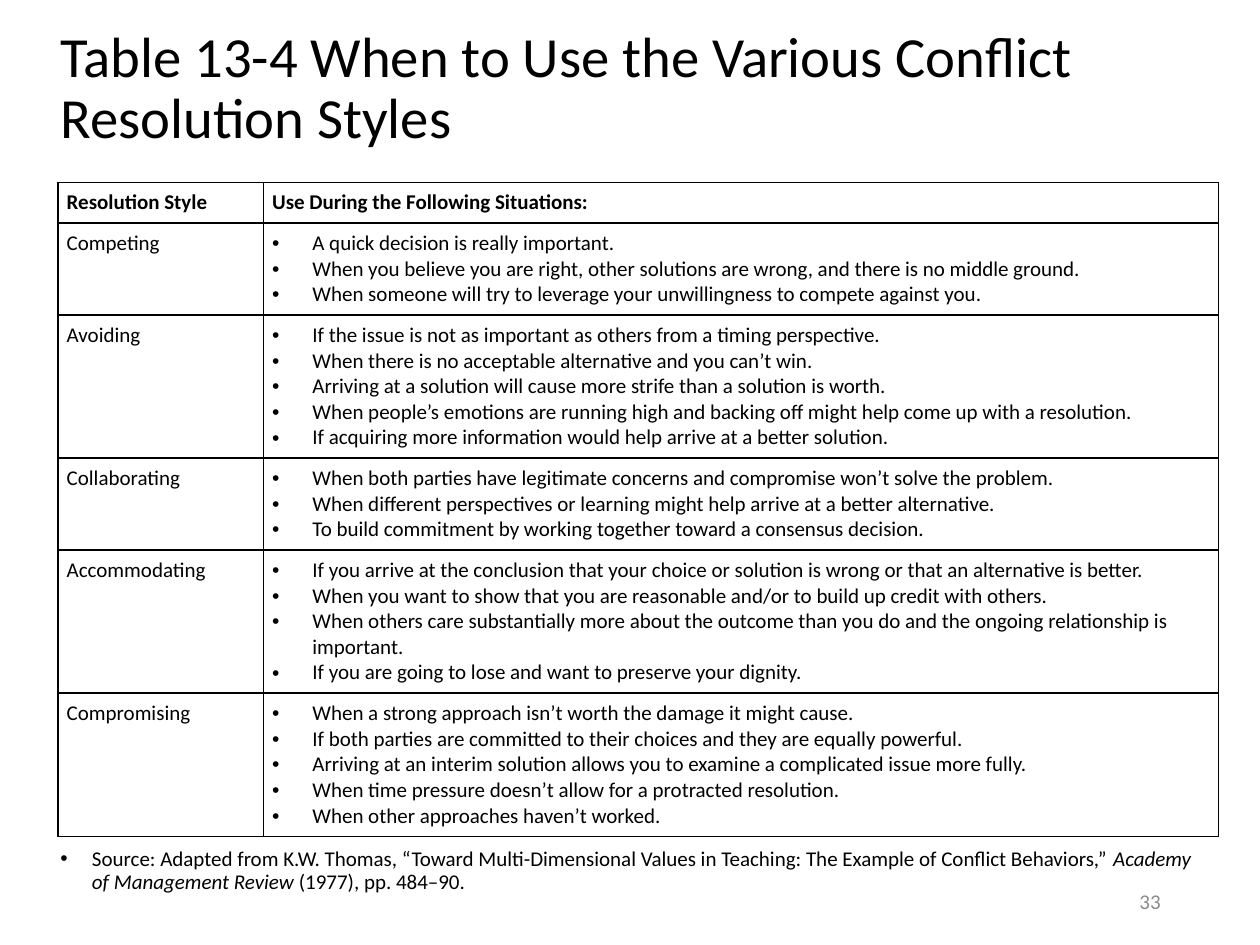
import pptx
import pptx.dml.color
import pptx.enum.text
import pptx.oxml
import pptx.oxml.ns
import pptx.util

RGBColor = pptx.dml.color.RGBColor
Anchor = pptx.enum.text.MSO_ANCHOR
BLACK = RGBColor(0, 0, 0)
WHITE = RGBColor(255, 255, 255)
GRAY = RGBColor(0x8C, 0x8C, 0x8C)
FONT = "Calibri"
SLIDE_WIDTH = pptx.util.Inches(10)
SLIDE_HEIGHT = pptx.util.Inches(7.5)

TITLE = "Table 13-4 When to Use the Various Conflict Resolution Styles"
HEADINGS = ["Resolution Style", "Use During the Following Situations:"]
COLUMN_SHARES = [0.177, 0.823]
ROW_SHARES = [0.063, 0.138, 0.217, 0.138, 0.217, 0.217]
STYLES = {
    "Competing": [
        "A quick decision is really important.",
        "When you believe you are right, other solutions are wrong, and there is no middle ground.",
        "When someone will try to leverage your unwillingness to compete against you.",
    ],
    "Avoiding": [
        "If the issue is not as important as others from a timing perspective.",
        "When there is no acceptable alternative and you can’t win.",
        "Arriving at a solution will cause more strife than a solution is worth.",
        "When people’s emotions are running high and backing off might help come up with a resolution.",
        "If acquiring more information would help arrive at a better solution.",
    ],
    "Collaborating": [
        "When both parties have legitimate concerns and compromise won’t solve the problem.",
        "When different perspectives or learning might help arrive at a better alternative.",
        "To build commitment by working together toward a consensus decision.",
    ],
    "Accommodating": [
        "If you arrive at the conclusion that your choice or solution is wrong or that an alternative is better.",
        "When you want to show that you are reasonable and/or to build up credit with others.",
        "When others care substantially more about the outcome than you do and the ongoing relationship is important.",
        "If you are going to lose and want to preserve your dignity.",
    ],
    "Compromising": [
        "When a strong approach isn’t worth the damage it might cause.",
        "If both parties are committed to their choices and they are equally powerful.",
        "Arriving at an interim solution allows you to examine a complicated issue more fully.",
        "When time pressure doesn’t allow for a protracted resolution.",
        "When other approaches haven’t worked.",
    ],
}
SOURCE = [
    ("Source: Adapted from K.W. Thomas, “Toward Multi-Dimensional Values in Teaching: "
     "The Example of Conflict Behaviors,” ", False),
    ("Academy of Management Review", True),
    (" (1977), pp. 484–90.", False),
]


def region(left, top, width, height):
    """Turn shares of the slide's size into a box of lengths."""
    return (int(SLIDE_WIDTH * left), int(SLIDE_HEIGHT * top),
            int(SLIDE_WIDTH * width), int(SLIDE_HEIGHT * height))


def place(shape, box):
    """Move a shape into a box."""
    shape.left, shape.top, shape.width, shape.height = box


def add_element(parent, xml):
    """Append a drawing element written as XML and return it."""
    tag, rest = xml.split(" ", 1)
    namespace = pptx.oxml.ns.nsdecls("a")
    element = pptx.oxml.parse_xml(f"<a:{tag} {namespace} {rest}")
    parent.append(element)
    return element


def add_run(paragraph, text, size=12, color=BLACK, bold=False, italic=False):
    """Add one formatted run to a paragraph."""
    run = paragraph.add_run()
    run.text = text
    font = run.font
    font.name, font.size = FONT, pptx.util.Pt(size)
    font.bold, font.italic = bold, italic
    font.color.rgb = color


def add_bullet(paragraph, indent):
    """Give a paragraph a hanging round bullet."""
    properties = paragraph._p.get_or_add_pPr()
    hanging = pptx.util.Inches(indent)
    properties.set("marL", str(hanging))
    properties.set("indent", str(-hanging))
    add_element(properties, 'buFont typeface="Arial"/>')
    add_element(properties, 'buChar char="•"/>')


def format_cell(cell, anchor):
    """Give a cell its borders, white fill, margins and anchor."""
    properties = cell._tc.get_or_add_tcPr()
    for side in ("lnL", "lnR", "lnT", "lnB"):
        width = pptx.util.Pt(1)
        add_element(properties, f'{side} w="{width}"><a:solidFill><a:srgbClr val="{BLACK}"/>'
                                f'</a:solidFill></a:{side}>')
    cell.fill.solid()
    cell.fill.fore_color.rgb = WHITE
    cell.margin_left = cell.margin_right = pptx.util.Inches(0.07)
    cell.margin_top = cell.margin_bottom = pptx.util.Inches(0.06)
    cell.vertical_anchor = anchor


def fill_cell(cell, lines, bold=False, bulleted=False):
    """Write lines into a cell, one paragraph each."""
    format_cell(cell, Anchor.MIDDLE if bold else Anchor.TOP)
    frame = cell.text_frame
    for index, line in enumerate(lines):
        paragraph = frame.add_paragraph() if index else frame.paragraphs[0]
        if bulleted:
            add_bullet(paragraph, 0.32)
        add_run(paragraph, line, bold=bold)


def fill_title(slide, box):
    """Place and write the title."""
    title = slide.shapes.title
    place(title, box)
    frame = title.text_frame
    frame.auto_size = pptx.enum.text.MSO_AUTO_SIZE.NONE
    frame.vertical_anchor = Anchor.MIDDLE
    paragraph = frame.paragraphs[0]
    paragraph.alignment = pptx.enum.text.PP_ALIGN.LEFT
    paragraph.line_spacing = 0.9
    add_run(paragraph, TITLE, size=32.4)


def add_styles_table(slide, box):
    """Add the table of resolution styles and their situations."""
    table = slide.shapes.add_table(len(ROW_SHARES), len(COLUMN_SHARES), *box).table
    table.first_row = table.horz_banding = False
    for column, share in zip(table.columns, COLUMN_SHARES):
        column.width = int(box[2] * share)
    for row, share in zip(table.rows, ROW_SHARES):
        row.height = int(box[3] * share)
    for column, heading in enumerate(HEADINGS):
        fill_cell(table.cell(0, column), [heading], bold=True)
    for row, (style, situations) in enumerate(STYLES.items(), start=1):
        fill_cell(table.cell(row, 0), [style])
        fill_cell(table.cell(row, 1), situations, bulleted=True)


def fill_source(slide, box):
    """Place and write the source line in the body placeholder."""
    body = slide.placeholders[1]
    place(body, box)
    frame = body.text_frame
    frame.auto_size = pptx.enum.text.MSO_AUTO_SIZE.NONE
    paragraph = frame.paragraphs[0]
    add_bullet(paragraph, 0.25)
    paragraph.line_spacing = 0.9
    paragraph.space_before = pptx.util.Pt(0)
    for text, italic in SOURCE:
        add_run(paragraph, text, italic=italic)


def add_page_number(slide, box):
    """Add the page number at the lower right."""
    frame = slide.shapes.add_textbox(*box).text_frame
    frame.word_wrap = True
    frame.vertical_anchor = Anchor.MIDDLE
    paragraph = frame.paragraphs[0]
    paragraph.alignment = pptx.enum.text.PP_ALIGN.RIGHT
    add_run(paragraph, "33", color=GRAY)


def main():
    """Build the slide and save it."""
    presentation = pptx.Presentation()
    presentation.slide_width, presentation.slide_height = SLIDE_WIDTH, SLIDE_HEIGHT
    slide = presentation.slides.add_slide(presentation.slide_layouts[1])
    fill_title(slide, region(0.038, 0.035, 0.925, 0.12))
    add_styles_table(slide, region(0.046, 0.193, 0.921, 0.677))
    fill_source(slide, region(0.038, 0.891, 0.925, 0.067))
    add_page_number(slide, region(0.706, 0.927, 0.225, 0.053))
    presentation.save("out.pptx")


if __name__ == "__main__":
    main()
